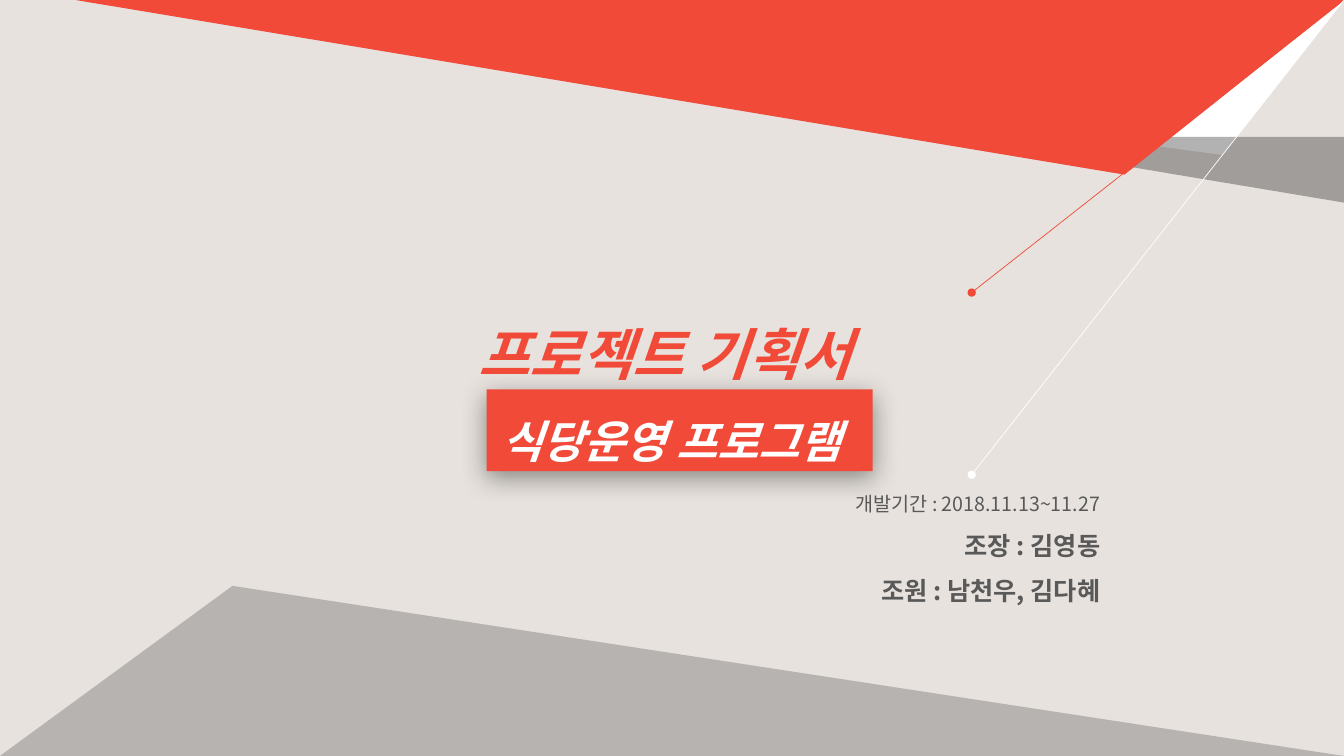
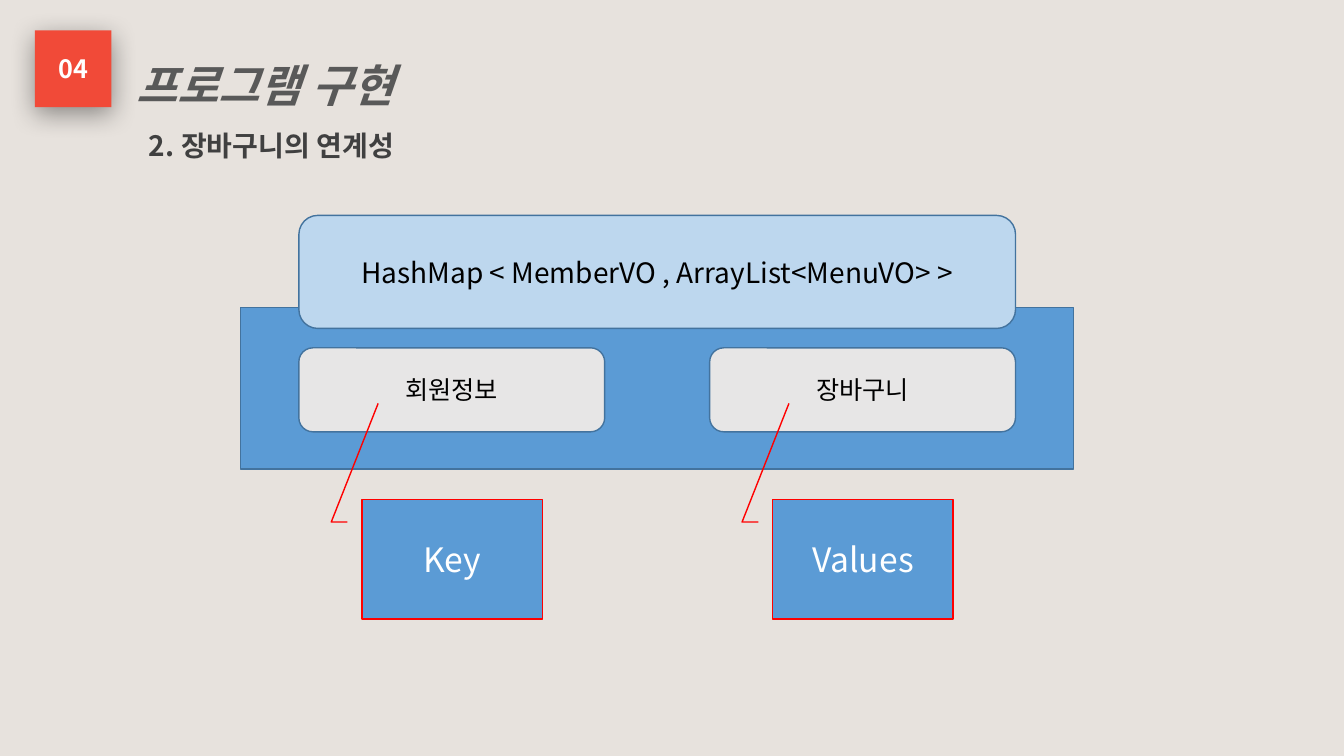
import dataclasses

import lxml.etree
import pptx
import pptx.dml.color
import pptx.enum.shapes
import pptx.enum.text
import pptx.oxml.ns
import pptx.util

SHAPE = pptx.enum.shapes.MSO_SHAPE
ALIGN = pptx.enum.text.PP_ALIGN
ANCHOR = pptx.enum.text.MSO_ANCHOR


@dataclasses.dataclass(frozen=True)
class Theme:
    font: str = "Noto Sans CJK KR"
    paper: str = "E7E2DD"
    accent: str = "F14A38"
    white: str = "FFFFFF"
    black: str = "000000"
    gray: str = "808080"
    heading: str = "595959"
    subheading: str = "404040"
    blue: str = "5B9BD5"
    pale_blue: str = "BDD7EE"
    pale_gray: str = "E7E6E6"
    outline: str = "43739E"
    red: str = "FF0000"
    cover_size: int = 40
    title_size: int = 32
    callout_size: int = 24
    large_size: int = 20
    body_size: int = 18
    small_size: int = 14


THEME = Theme()


@dataclasses.dataclass(frozen=True)
class Box:
    left: float
    top: float
    width: float
    height: float

    def point(self, x, y):
        return (pptx.util.Inches(self.left + self.width * x / 100),
                pptx.util.Inches(self.top + self.height * y / 100))

    def region(self, x, y, width, height):
        return Box(self.left + self.width * x / 100, self.top + self.height * y / 100,
                   self.width * width / 100, self.height * height / 100)

    def frame(self):
        return [pptx.util.Inches(length) for length in (self.left, self.top, self.width, self.height)]


SLIDE = Box(0, 0, 13.33, 7.5)


def color(code):
    return pptx.dml.color.RGBColor.from_string(code)


def add_element(parent, tag, **attributes):
    element = lxml.etree.SubElement(parent, pptx.oxml.ns.qn(tag))
    for name, value in attributes.items():
        element.set(name, str(value))
    return element


def paint(shape, fill, line=None, opacity=100):
    shape.shadow.inherit = False
    shape.fill.solid()
    shape.fill.fore_color.rgb = color(fill)
    if opacity < 100:
        fill_color = shape._element.spPr.find(
            pptx.oxml.ns.qn("a:solidFill") + "/" + pptx.oxml.ns.qn("a:srgbClr"))
        add_element(fill_color, "a:alpha", val=opacity * 1000)
    if line:
        shape.line.color.rgb = color(line)
        shape.line.width = pptx.util.Pt(1)
    else:
        shape.line.fill.background()


def add_block(shapes, box, kind, fill, line=None, opacity=100):
    shape = shapes.add_shape(kind, *box.frame())
    paint(shape, fill, line, opacity)
    return shape


def add_wedge(page, box, peak, flip, fill, opacity=100):
    wedge = add_block(page.shapes, box, SHAPE.ISOSCELES_TRIANGLE, fill, opacity=opacity)
    wedge.adjustments[0] = peak
    wedge._element.spPr.find(pptx.oxml.ns.qn("a:xfrm")).set(flip, "1")


def add_raised_block(page, box):
    block = add_block(page.shapes, box, SHAPE.RECTANGLE, THEME.accent)
    effects = block._element.spPr.find(pptx.oxml.ns.qn("a:effectLst"))
    shadow = add_element(effects, "a:outerShdw", blurRad=int(pptx.util.Pt(19)),
                         dist=int(pptx.util.Pt(5)), dir=90 * 60000, algn="t", rotWithShape=0)
    add_element(add_element(shadow, "a:srgbClr", val=THEME.black), "a:alpha", val=40000)
    return block


def style_paragraph(para, size, code, bold=False, italic=False, align=ALIGN.LEFT, spacing=None):
    para.alignment = align
    if spacing:
        para.line_spacing = spacing
    for span in para.runs:
        span.font.name = THEME.font
        span.font.size = pptx.util.Pt(size)
        span.font.color.rgb = color(code)
        span.font.bold = bold
        span.font.italic = italic
        add_element(span._r.get_or_add_rPr(), "a:ea", typeface=THEME.font)


def label(shape, text, size, code, bold=False):
    shape.text_frame.text = text
    shape.text_frame.vertical_anchor = ANCHOR.MIDDLE
    style_paragraph(shape.text_frame.paragraphs[0], size, code, bold, align=ALIGN.CENTER)


def add_text(page, box, lines, align=ALIGN.LEFT, wrap=True):
    frame = page.shapes.add_textbox(*box.frame()).text_frame
    frame.word_wrap = wrap
    frame.text = "\n".join(text for text, *_ in lines)
    for para, (_, size, code, bold, italic) in zip(frame.paragraphs, lines):
        style_paragraph(para, size, code, bold, italic, align, 1.5)


def add_ray(page, start, end, code):
    ray = page.shapes.add_connector(pptx.enum.shapes.MSO_CONNECTOR.STRAIGHT, *start, *end)
    ray.line.color.rgb = color(code)
    ray.line.width = pptx.util.Pt(0.5)
    properties = ray._element.spPr
    add_element(properties.find(pptx.oxml.ns.qn("a:ln")), "a:tailEnd", type="oval")
    add_element(properties, "a:effectLst")


def add_shade(page, box):
    builder = page.shapes.build_freeform(*box.point(0, 0), scale=1.0)
    builder.add_line_segments([box.point(100, 0), box.point(100, 100)], close=True)
    paint(builder.convert_to_shape(), THEME.black, opacity=30)


def add_cover_title(page, box):
    add_raised_block(page, box.region(22, 55.9, 58.5, 42.2))
    add_text(page, box, [
        ("프로젝트 기획서 ", THEME.cover_size, THEME.accent, True, True),
        ("식당운영 프로그램", THEME.title_size, THEME.white, True, True),
    ], ALIGN.CENTER)


def add_team(page, box):
    add_text(page, box, [
        ("개발기간 : 2018.11.13~11.27", THEME.small_size, THEME.heading, False, False),
        ("조장 : 김영동", THEME.body_size, THEME.heading, True, False),
        ("조원 : 남천우, 김다혜", THEME.body_size, THEME.heading, True, False),
    ], ALIGN.RIGHT, wrap=False)


def add_header(page, box, number, title, subtitle):
    tag = add_raised_block(page, box.region(2.6, 18, 5.7, 45.6))
    label(tag, number, THEME.body_size, THEME.white, True)
    add_text(page, box.region(9.4, 15.6, 49.9, 54.4),
             [(title, THEME.title_size, THEME.heading, True, True)])
    add_text(page, box.region(10.35, 63.5, 29.4, 32.4),
             [(subtitle, THEME.large_size, THEME.subheading, True, False)])


def add_map_diagram(page, box, declaration, fields):
    shapes = page.shapes.add_group_shape().shapes
    add_block(shapes, box.region(0, 22.8, 100, 40), SHAPE.RECTANGLE, THEME.blue, THEME.outline)
    columns = [box.region(7 + 49.3 * index, 0, 36.7, 100) for index in range(len(fields))]
    for column, (name, _) in zip(columns, fields):
        field = add_block(shapes, column.region(0, 32.8, 100, 20.8), SHAPE.ROUNDED_RECTANGLE,
                          THEME.pale_gray, THEME.outline)
        label(field, name, THEME.body_size, THEME.black)
    heading = add_block(shapes, box.region(7, 0, 86, 28), SHAPE.ROUNDED_RECTANGLE,
                        THEME.pale_blue, THEME.outline)
    label(heading, declaration, THEME.large_size, THEME.black)
    for column, (_, role) in zip(columns, fields):
        callout = add_block(shapes, column.region(20.6, 70.3, 59, 29.7), SHAPE.LINE_CALLOUT_2,
                            THEME.blue, THEME.red)
        for index, value in enumerate((0.19, -0.08, 0.19, -0.17, -0.8, 0.09)):
            callout.adjustments[index] = value
        label(callout, role, THEME.callout_size, THEME.white)


def new_page(deck):
    page = deck.slides.add_slide(deck.slide_layouts[6])
    page.background.fill.solid()
    page.background.fill.fore_color.rgb = color(THEME.paper)
    return page


def build_cover(deck, box):
    page = new_page(deck)
    add_wedge(page, box.region(5.6, 0, 94.4, 20.5), 0.904, "flipV", THEME.white)
    add_cover_title(page, box.region(25.4, 37.2, 49.1, 25.6))
    add_shade(page, box.region(70.7, 18.1, 29.3, 8.7))
    add_wedge(page, box.region(5.6, 0, 94.4, 23.1), 0.827, "flipV", THEME.accent)
    for height, code in ((38.7, THEME.accent), (62.8, THEME.white)):
        add_ray(page, box.point(100, 0), box.point(72.3, height), code)
    add_team(page, box.region(62, 62.8, 20.6, 18.1))
    add_wedge(page, box.region(0, 77.5, 100, 22.5), 0.827, "flipH", THEME.gray, 47)


def build_implementation(deck, box):
    page = new_page(deck)
    add_header(page, box.region(0, 0, 100, 22.3), "04", "프로그램 구현", "2. 장바구니의 연계성")
    add_map_diagram(page, box.region(17.9, 28.5, 62, 53.4),
                    "HashMap < MemberVO , ArrayList<MenuVO> >",
                    [("회원정보", "Key"), ("장바구니", "Values")])


def main():
    deck = pptx.Presentation()
    deck.slide_width = pptx.util.Inches(SLIDE.width)
    deck.slide_height = pptx.util.Inches(SLIDE.height)
    build_cover(deck, SLIDE)
    build_implementation(deck, SLIDE)
    deck.save("out.pptx")


if __name__ == "__main__":
    main()
